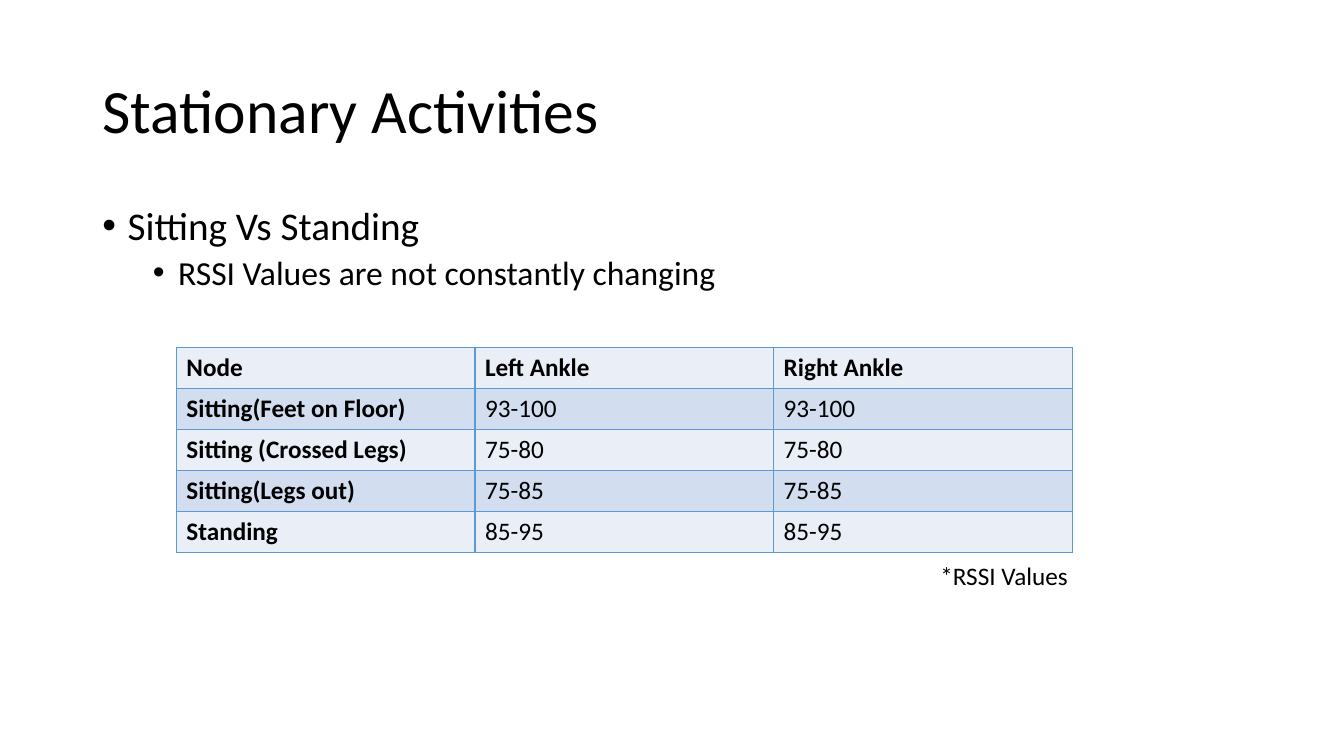
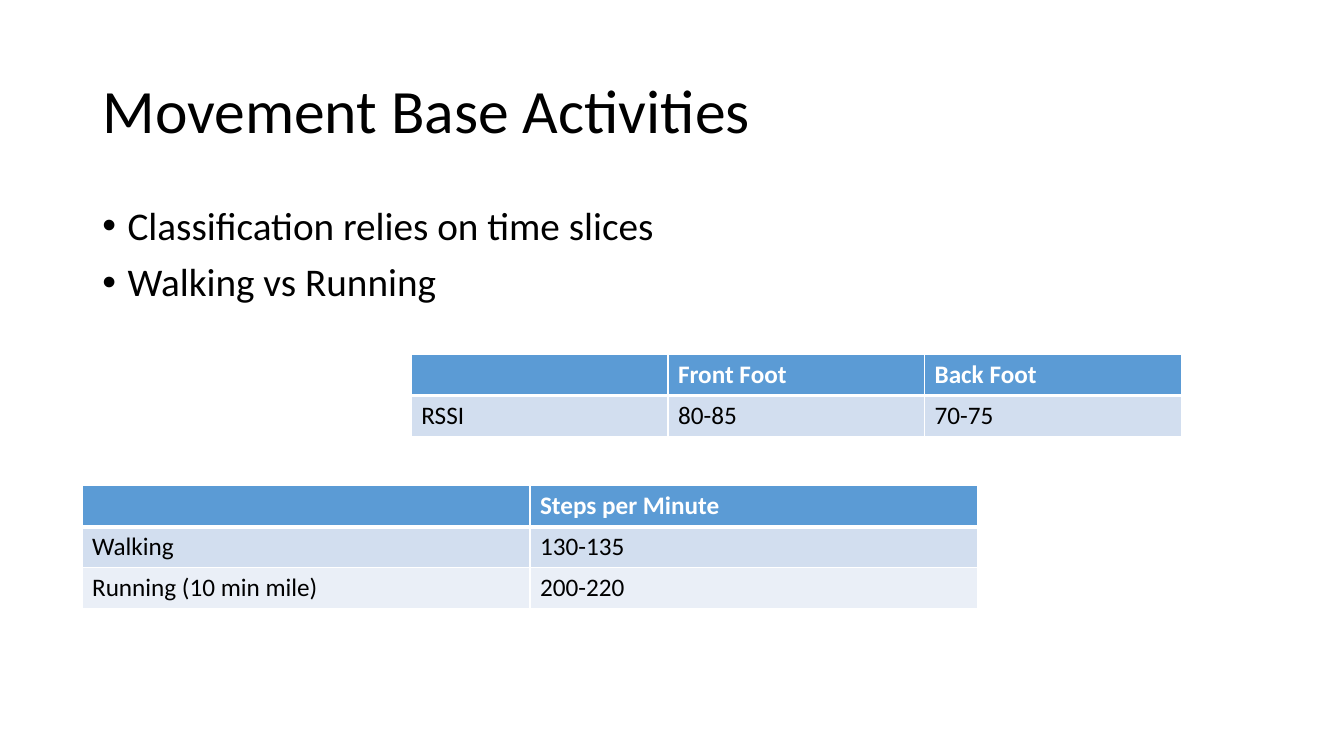
"""Build two slides on stationary and movement activities."""
from dataclasses import dataclass
from lxml.etree import SubElement as Sub
from pptx import Presentation as Deck
from pptx.dml.color import RGBColor as Rgb
from pptx.enum.text import MSO_ANCHOR as Anchor, MSO_AUTO_SIZE as Fit, PP_ALIGN as Align
from pptx.oxml.ns import qn
from pptx.util import Pt


@dataclass(frozen=True)
class Theme:
    font: str = "Calibri"
    ink: str = "000000"
    white: str = "FFFFFF"
    blue: str = "5B9BD5"
    mid: str = "D2DEEF"
    pale: str = "EAEFF7"
    title: int = 44
    bullets: tuple = (28, 24)
    text: int = 18
    row: float = 29.2


def apply(obj, vals):
    for name, val in vals.items():
        setattr(obj, name, val)


class Maker:
    def __init__(self, deck, theme):
        self.deck, self.theme = deck, theme
        self.slide = None

    def place(self, shape, left, top, width, height):
        apply(shape, {"left": Pt(left), "top": Pt(top),
                      "width": Pt(width), "height": Pt(height)})

    def label(self, para, text, size, color=None, bold=False):
        run = para.add_run()
        run.text = text
        apply(run.font, {"name": self.theme.font, "size": Pt(size), "bold": bold})
        run.font.color.rgb = Rgb.from_string(color or self.theme.ink)

    def start(self, title):
        self.slide = self.deck.slides.add_slide(self.deck.slide_layouts[1])
        shape = self.slide.shapes.title
        self.place(shape, 66, 28.8, 828, 104.4)
        shape.text_frame.vertical_anchor = Anchor.MIDDLE
        para = shape.text_frame.paragraphs[0]
        apply(para, {"alignment": Align.LEFT, "line_spacing": 0.9})
        self.label(para, title, self.theme.title)

    def bullets(self, items):
        shape = self.slide.placeholders[1]
        self.place(shape, 66, 144, 828, 342.7)
        frame = shape.text_frame
        for num, (level, text) in enumerate(items):
            para = frame.add_paragraph() if num else frame.paragraphs[0]
            apply(para, {"level": level, "line_spacing": 0.9,
                         "space_before": Pt(5 if level else 10)})
            props = para._p.get_or_add_pPr()
            props.set("marL", str(Pt(18 + 36 * level)))
            props.set("indent", str(Pt(-18)))
            Sub(props, qn("a:buFont"), typeface="Arial")
            Sub(props, qn("a:buChar"), char="•")
            self.label(para, text, self.theme.bullets[level])

    def border(self, cell, color, top=1, bottom=1):
        props = cell._tc.get_or_add_tcPr()
        for side, width in zip("LRTB", (1, 1, top, bottom)):
            line = Sub(props, qn("a:ln" + side), w=str(Pt(width)))
            fill = Sub(line, qn("a:solidFill"))
            Sub(fill, qn("a:srgbClr"), val=color)

    def table(self, left, top, width, rows, solid=True):
        look = self.theme
        count = len(rows[0])
        grid = self.slide.shapes.add_table(
            len(rows), count, Pt(left), Pt(top), Pt(width),
            Pt(look.row * len(rows))).table
        apply(grid, {"first_row": False, "horz_banding": False})
        for col in grid.columns:
            col.width = Pt(width / count)
        for r, row in enumerate(rows):
            grid.rows[r].height = Pt(look.row)
            band = look.mid if r % 2 else look.pale
            head = solid and r == 0
            for c, text in enumerate(row):
                cell = grid.cell(r, c)
                self.border(cell, look.white if solid else look.blue,
                            top=3 if solid and r == 1 else 1,
                            bottom=3 if head else 1)
                cell.fill.solid()
                cell.fill.fore_color.rgb = Rgb.from_string(look.blue if head else band)
                if text:
                    bold = r == 0 or (c == 0 and not solid)
                    self.label(cell.text_frame.paragraphs[0], text, look.text,
                               look.white if head else look.ink, bold)

    def note(self, text, left, top, width, height):
        box = self.slide.shapes.add_textbox(Pt(left), Pt(top), Pt(width), Pt(height))
        apply(box.text_frame, {"word_wrap": True, "auto_size": Fit.SHAPE_TO_FIT_TEXT})
        self.label(box.text_frame.paragraphs[0], text, self.theme.text)


def main():
    deck = Deck()
    apply(deck, {"slide_width": Pt(960), "slide_height": Pt(540)})
    make = Maker(deck, Theme())

    make.start("Stationary Activities")
    make.bullets([(0, "Sitting Vs Standing"),
                  (1, "RSSI Values are not constantly changing")])
    spans = [("Sitting(Feet on Floor)", "93-100"), ("Sitting (Crossed Legs)", "75-80"),
             ("Sitting(Legs out)", "75-85"), ("Standing", "85-95")]
    make.table(126, 248.4, 640, [("Node", "Left Ankle", "Right Ankle")]
               + [(pose, span, span) for pose, span in spans], solid=False)
    make.note("*RSSI Values", 664.6, 396.7, 123.8, 29)

    make.start("Movement Base Activities")
    make.bullets([(0, "Classification relies on time slices"),
                  (0, "Walking vs Running")])
    make.table(293.8, 253.4, 550, [("", "Front Foot", "Back Foot"),
                                   ("RSSI", "80-85", "70-75")])
    make.table(58.6, 347, 640, [("", "Steps per Minute"), ("Walking", "130-135"),
                                ("Running (10 min mile)", "200-220")])
    deck.save("out.pptx")


if __name__ == "__main__":
    main()
